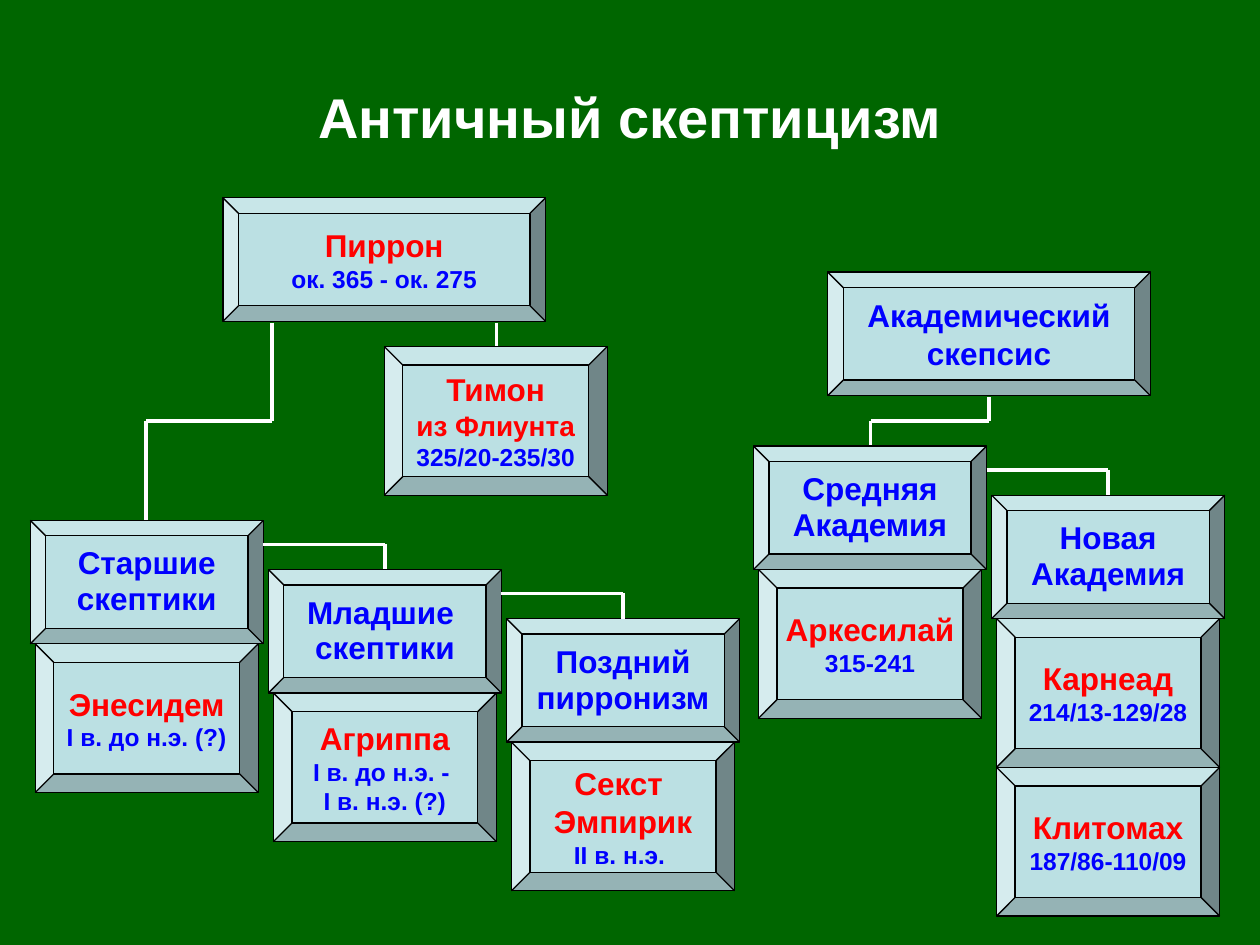
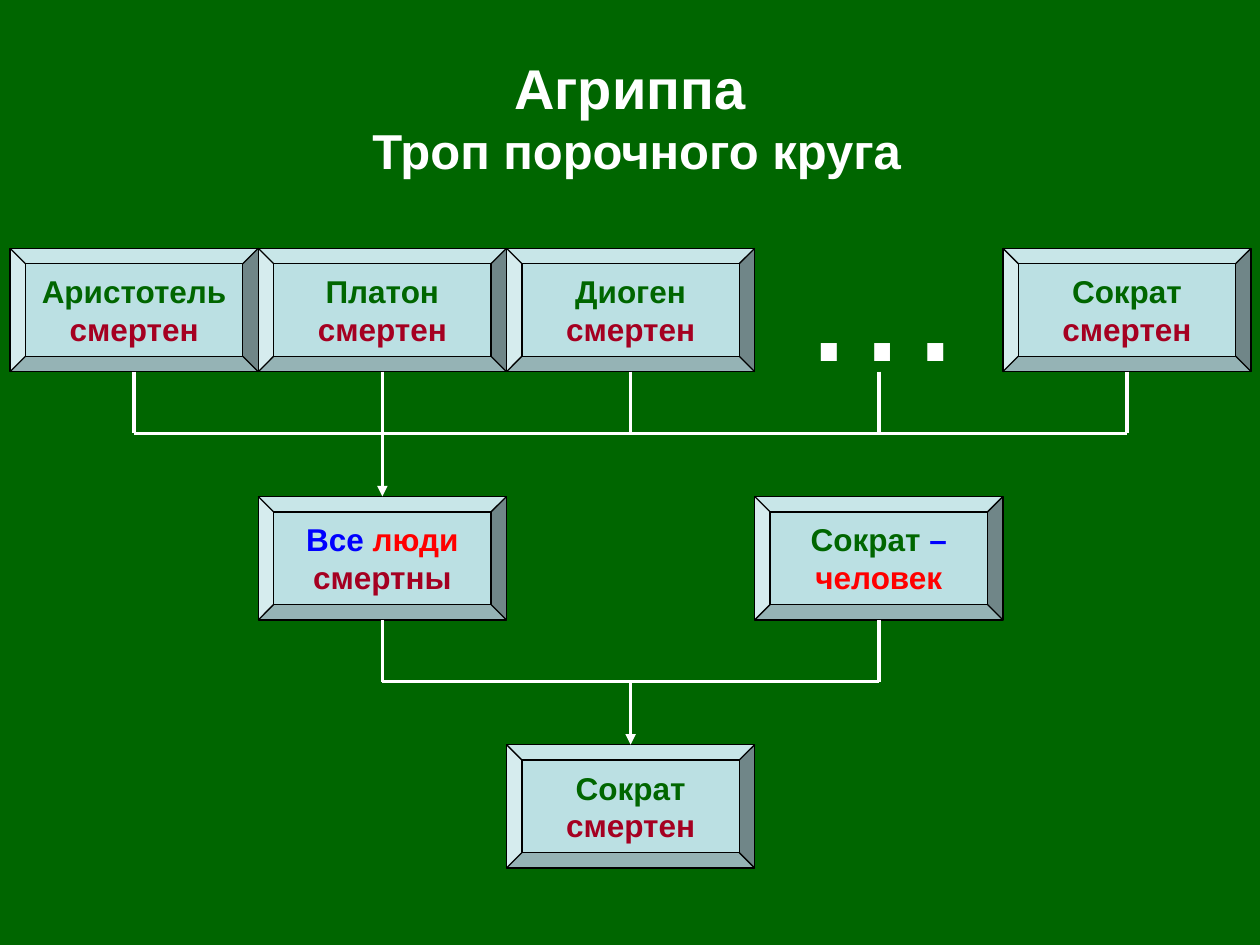
from copy import deepcopy
from itertools import pairwise

from lxml import etree
from pptx import Presentation
from pptx.dml.color import RGBColor
from pptx.enum.shapes import MSO_CONNECTOR, MSO_SHAPE
from pptx.enum.text import MSO_ANCHOR, PP_ALIGN
from pptx.oxml.ns import qn
from pptx.util import Inches, Pt

STRAIGHT = MSO_CONNECTOR.STRAIGHT
BEVEL = MSO_SHAPE.BEVEL
MIDDLE, TOP = MSO_ANCHOR.MIDDLE, MSO_ANCHOR.TOP
CENTER, LEFT = PP_ALIGN.CENTER, PP_ALIGN.LEFT

GREEN, PALE, WHITE, BLACK = "006600", "BBE0E3", "FFFFFF", "000000"
RED, BLUE, CRIMSON = "FF0000", "0000FF", "A50021"

FORMATS = {
    "title": (WHITE, {"size": Pt(32), "bold": True}),
    "subtitle": (WHITE, {"size": Pt(28), "bold": True}),
    "person": (RED, {"size": Pt(18), "bold": True}),
    "origin": (RED, {"size": Pt(16), "bold": True}),
    "dates": (BLUE, {"size": Pt(14), "bold": True}),
    "school": (BLUE, {"size": Pt(18), "bold": True}),
    "subject": (GREEN, {"size": Pt(18), "bold": True}),
    "predicate": (CRIMSON, {"size": Pt(18), "bold": True}),
    "ellipsis": (WHITE, {"size": Pt(96), "bold": False}),
}

BOX_H = 0.98
SCHOOL_W, SCHOOL_DX, SCHOOL_DY = 1.85, 1.89, 0.39
PERSON_W, PERSON_H = 1.77, 1.18
COLUMN_W = ROW_H = 1.97


def rgb(hex_color):
    """Turn a hex string into a colour."""
    return RGBColor.from_string(hex_color)


class Deck:
    """Holds the shared style and the current slide."""

    def __init__(self):
        """Start a 10 by 7.5 inch presentation."""
        self.presentation = Presentation()
        self.presentation.slide_width = Inches(10)
        self.presentation.slide_height = Inches(7.5)
        self.slide = None

    def new_slide(self, *title):
        """Add a green slide with its title."""
        self.slide = self.presentation.slides.add_slide(self.presentation.slide_layouts[6])
        fill = self.slide.background.fill
        fill.solid()
        fill.fore_color.rgb = rgb(GREEN)
        self.text(0.5, 0.3, 9, 1.25, [title], word_wrap=True)

    def fill_text(self, frame, paragraphs, align, spacing):
        """Fill a text frame with paragraphs of (format, text) runs."""
        for index, runs in enumerate(paragraphs):
            paragraph = frame.add_paragraph() if index else frame.paragraphs[0]
            paragraph.alignment = align
            if spacing:
                paragraph.line_spacing = spacing
            for name, text in runs:
                color, values = FORMATS[name]
                for number, line in enumerate(text.split("\n")):
                    if number:
                        paragraph.add_line_break()
                        paragraph._p[-1].append(deepcopy(run._r.rPr))
                    if not line:
                        continue
                    run = paragraph.add_run()
                    run.text = line
                    run.font.name = "Arial"
                    run.font.color.rgb = rgb(color)
                    for key, value in values.items():
                        setattr(run.font, key, value)

    def text(self, x, y, w, h, paragraphs, align=CENTER, anchor=MIDDLE, word_wrap=False):
        """Add a plain text box."""
        frame = self.slide.shapes.add_textbox(*map(Inches, (x, y, w, h))).text_frame
        frame.word_wrap = word_wrap
        frame.vertical_anchor = anchor
        self.fill_text(frame, paragraphs, align, None)

    def box(self, x, y, w, h, *paragraphs, spacing=None):
        """Add a bevelled box with centred text."""
        bevel = self.slide.shapes.add_shape(BEVEL, *map(Inches, (x, y, w, h)))
        bevel.shadow.inherit = False
        bevel.fill.solid()
        bevel.fill.fore_color.rgb = rgb(PALE)
        bevel.line.color.rgb = rgb(BLACK)
        bevel.line.width = Pt(0.75)
        bevel.text_frame.word_wrap = False
        bevel.text_frame.vertical_anchor = MIDDLE
        self.fill_text(bevel.text_frame, paragraphs, CENTER, spacing)

    def lines(self, *points, arrow=False):
        """Join the points with white lines, with an arrowhead at the end if asked."""
        for start, end in pairwise(points):
            line = self.slide.shapes.add_connector(STRAIGHT, *map(Inches, start + end))
            line.line.color.rgb = rgb(WHITE)
            line.line.width = Pt(2)
            etree.SubElement(line._element.spPr, qn("a:effectLst"))
        if arrow:
            outline = line._element.spPr.find(qn("a:ln"))
            etree.SubElement(outline, qn("a:tailEnd"), type="triangle")

    def schools(self, x, y, branches):
        """Step schools down to the right, with their philosophers below."""
        for index, (school, philosophers) in enumerate(branches):
            left, top = x + index * SCHOOL_DX, y + index * SCHOOL_DY
            self.box(left, top, SCHOOL_W, BOX_H,
                     *([("school", part)] for part in school), spacing=0.95)
            for place, philosopher in enumerate(philosophers):
                self.box(left + 0.04, top + BOX_H + place * PERSON_H,
                         PERSON_W, PERSON_H, philosopher)
            if index:
                center, level = left + SCHOOL_W / 2, top - 0.2
                self.lines((left - SCHOOL_DX + SCHOOL_W, level), (center, level), (center, top))


def build_schools(deck):
    """Draw the family tree of ancient scepticism."""
    deck.new_slide(("title", "Античный скептицизм"))
    deck.box(1.77, 1.57, 2.56, BOX_H,
             [("person", "Пиррон")], [("dates", "ок. 365 - ок. 275")])
    deck.box(6.57, 2.16, 2.56, BOX_H, [("school", "Академический\nскепсис")])
    deck.lines((2.16, 2.56), (2.16, 3.34), (1.16, 3.34), (1.16, 4.13))
    deck.lines((3.94, 2.56), (3.94, 2.75))
    deck.lines((7.85, 3.15), (7.85, 3.34), (6.91, 3.34), (6.91, 3.54))
    deck.box(3.05, 2.75, PERSON_W, PERSON_H,
             [("person", "Тимон\n"), ("origin", "из Флиунта\n"), ("dates", "325/20-235/30")])
    deck.schools(0.24, 4.13, [
        (["Старшие\nскептики"], [[("person", "Энесидем\n"), ("dates", "I в. до н.э. (?)")]]),
        (["Младшие \nскептики"],
         [[("person", "Агриппа\n"), ("dates", "I в. до н.э. - \nI в. н.э. (?)")]]),
        (["Поздний\nпирронизм"], [[("person", "Секст \nЭмпирик\n"), ("dates", "II в. н.э. ")]]),
    ])
    deck.schools(5.98, 3.54, [
        (["Средняя", "Академия"], [[("person", "Аркесилай\n"), ("dates", "315-241")]]),
        (["Новая", "Академия"], [
            [("person", "Карнеад\n"), ("dates", "214/13-129/28")],
            [("person", "Клитомах\n"), ("dates", "187/86-110/09")],
        ]),
    ])


def build_vicious_circle(deck):
    """Draw the syllogism that proves itself."""
    deck.new_slide(("title", "Агриппа\n"), ("subtitle", " Троп порочного круга"))

    def mortal(name):
        """Word the claim that somebody is mortal."""
        return [("subject", name + "\n"), ("predicate", "смертен")]

    statements = [
        (0, 1, mortal("Аристотель")),
        (1, 1, mortal("Платон")),
        (2, 1, mortal("Диоген")),
        (4, 1, mortal("Сократ")),
        (1, 2, [("school", "Все "), ("person", "люди\n"), ("predicate", "смертны")]),
        (3, 2, [("subject", "Сократ"), ("school", " –\n"), ("person", "человек")]),
        (2, 3, mortal("Сократ")),
    ]
    for column, row, statement in statements:
        deck.box(0.08 + column * COLUMN_W, row * ROW_H, COLUMN_W, BOX_H, statement)
    deck.text(6.24, 1.49, 1.53, 1.7, [[("ellipsis", "…")]], align=LEFT, anchor=TOP)

    centers = [0.08 + (column + 0.5) * COLUMN_W for column in range(5)]
    for row, premises, conclusion in ((1, range(5), 1), (2, (1, 3), 2)):
        bottom = row * ROW_H + BOX_H
        level = bottom + BOX_H / 2
        for premise in premises:
            deck.lines((centers[premise], bottom), (centers[premise], level))
        deck.lines((centers[premises[0]], level), (centers[conclusion], level),
                   (centers[premises[-1]], level))
        deck.lines((centers[conclusion], level), (centers[conclusion], (row + 1) * ROW_H),
                   arrow=True)


def main():
    """Build both slides and save them."""
    deck = Deck()
    build_schools(deck)
    build_vicious_circle(deck)
    deck.presentation.save("out.pptx")


if __name__ == "__main__":
    main()
